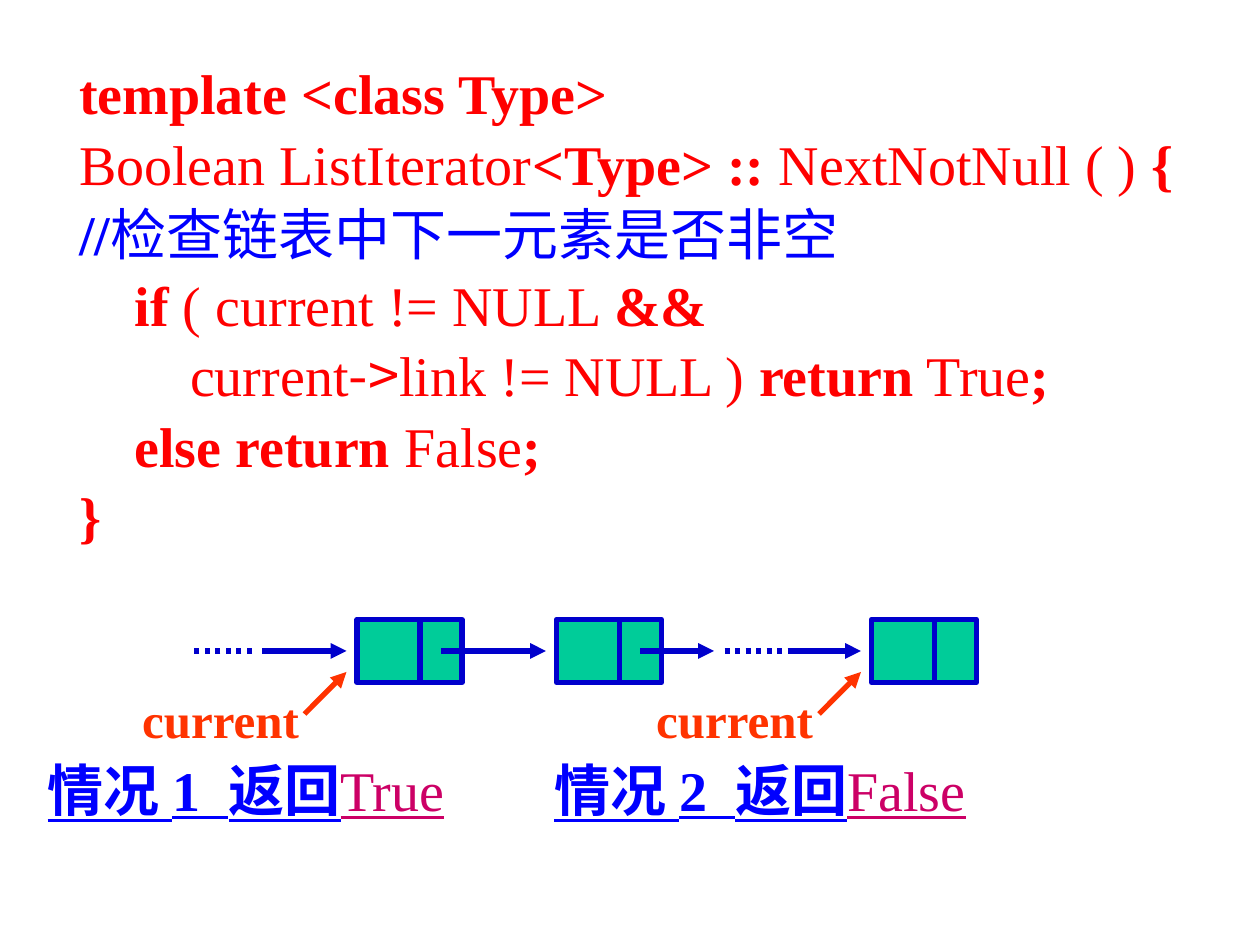
from lxml.etree import SubElement
from pptx import Presentation
from pptx.dml.color import RGBColor
from pptx.enum.dml import MSO_LINE
from pptx.enum.shapes import MSO_CONNECTOR, MSO_SHAPE
from pptx.enum.text import MSO_AUTO_SIZE
from pptx.oxml.ns import qn
from pptx.util import Inches, Pt

COLORS = {"code": "FF0000", "comment": "0000FF", "node": "00CC99",
          "link": "0000CC", "pointer": "FF3300", "result": "CC0066"}
LATIN, ASIAN = "Times New Roman", "Noto Sans CJK SC"
GRID = 12  # grid units per inch
NODE_TOP, NODE_WIDTH, NODE_HEIGHT, CELL_SPLIT = 59, 10, 6, 6
LINK_ROW = NODE_TOP + NODE_HEIGHT / 2
NODE_COLUMNS = (34, 53, 83)
CODE_INDENT = 0.44

# Each line: indent level, then runs of (text, bold, colour, latin font)
CODE = [
    (0, [("template <class Type>", True)]),
    (0, [("Boolean ListIterator", False), ("<Type> :: ", True),
         ("NextNotNull ( ) ", False), ("{", True)]),
    (0, [("//", True, "comment"), ("检查链表中下一元素是否非空", False, "comment")]),
    (1, [("if", True), (" ( current != NULL ", False), ("&&", True)]),
    (2, [("current", False), ("->", False, "code", ASIAN),
         ("link != NULL )", False), (" return", True), (" True", False), (";", True)]),
    (1, [("else return ", True), ("False", False), (";", True)]),
    (0, [("}", True)]),
]


def rgb(name):
    return RGBColor.from_string(COLORS[name])


def units(*cells):
    return [Inches(cell / GRID) for cell in cells]


def add_run(paragraph, text, bold, color="code", latin=LATIN, size=32, underline=False):
    run = paragraph.add_run()
    run.text = text
    formats = {"name": latin, "size": Pt(size), "bold": bold, "underline": underline}
    for attribute, value in formats.items():
        setattr(run.font, attribute, value)
    run.font.color.rgb = rgb(color)
    SubElement(run.font._element, qn("a:ea"), typeface=ASIAN)


def add_text_frame(slide, left, top, width, height):
    frame = slide.shapes.add_textbox(*map(Inches, (left, top, width, height))).text_frame
    frame.word_wrap = False
    frame.auto_size = MSO_AUTO_SIZE.SHAPE_TO_FIT_TEXT
    return frame


def add_code(slide):
    frame = add_text_frame(slide, 0.53, 0.39, 8.91, 4.02)
    for number, (level, runs) in enumerate(CODE):
        line = frame.add_paragraph() if number else frame.paragraphs[0]
        line.line_spacing = 1.05
        line._p.get_or_add_pPr().set("marL", str(Inches(level * CODE_INDENT)))
        for run in runs:
            add_run(line, *run)


def add_line(slide, start, end, color="link", arrow=False, dotted=False):
    """Draw a line between two (column, row) grid points."""
    connector = slide.shapes.add_connector(
        MSO_CONNECTOR.STRAIGHT, *units(*start, *end))
    connector.line.width = Pt(3)
    connector.line.color.rgb = rgb(color)
    if dotted:
        connector.line.dash_style = MSO_LINE.ROUND_DOT
    if arrow:
        SubElement(connector.line._get_or_add_ln(), qn("a:tailEnd"), type="triangle")
    SubElement(connector._element.spPr, qn("a:effectLst"))


def add_node(slide, column):
    """Draw a list node: a data cell and a narrower link cell."""
    node = slide.shapes.add_shape(
        MSO_SHAPE.RECTANGLE, *units(column, NODE_TOP, NODE_WIDTH, NODE_HEIGHT))
    node.shadow.inherit = False
    node.fill.solid()
    node.fill.fore_color.rgb = rgb("node")
    node.line.color.rgb = rgb("link")
    node.line.width = Pt(3)
    split = column + CELL_SPLIT
    add_line(slide, (split, NODE_TOP), (split, NODE_TOP + NODE_HEIGHT))


def add_link(slide, start, end, **style):
    add_line(slide, (start, LINK_ROW), (end, LINK_ROW), **style)


def add_current_pointer(slide, node_column, label_left):
    tip = node_column - 1
    add_line(slide, (tip - 4, LINK_ROW + 6), (tip, LINK_ROW + 2), "pointer", arrow=True)
    label = add_text_frame(slide, label_left, 5.42, 1.45, 0.57).paragraphs[0]
    add_run(label, "current", True, "pointer", size=28)


def add_cases(slide):
    """Write both cases on one line, the second one at a tab stop."""
    line = add_text_frame(slide, 0.28, 5.95, 8.06, 0.64).paragraphs[0]
    tabs = SubElement(line._p.get_or_add_pPr(), qn("a:tabLst"))
    SubElement(tabs, qn("a:tab"), pos=str(Inches(4.02)), algn="l")
    for number, result in enumerate(("True", "False"), 1):
        if number > 1:
            add_run(line, "\t", False)
        add_run(line, f"情况 {number}  返回", True, "comment", underline=True)
        add_run(line, result, False, "result", underline=True)


def main():
    deck = Presentation()
    deck.slide_width, deck.slide_height = Inches(10), Inches(7.5)
    slide = deck.slides.add_slide(deck.slide_layouts[6])
    add_code(slide)
    for column in NODE_COLUMNS:
        add_node(slide, column)
    for start, end in ((25, 33), (42, 52), (61, 68), (75, 82)):
        add_link(slide, start, end, arrow=True)
    for start, end in ((24, 18), (69, 75)):
        add_link(slide, start, end, dotted=True)
    add_current_pointer(slide, NODE_COLUMNS[0], 1.03)
    add_current_pointer(slide, NODE_COLUMNS[2], 5.11)
    add_cases(slide)
    deck.save("out.pptx")


if __name__ == "__main__":
    main()
